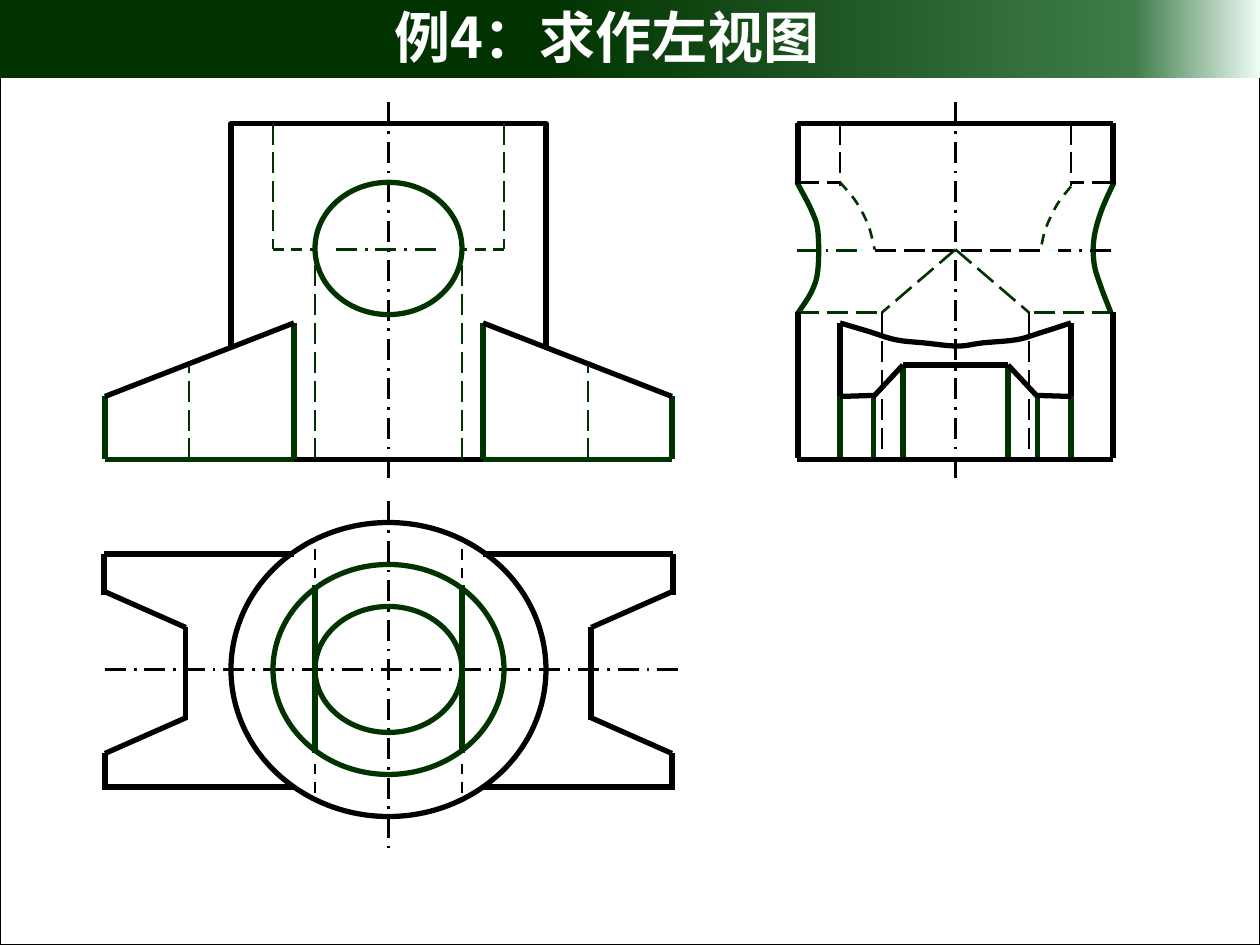
from copy import deepcopy
from pptx import Presentation
from pptx.dml.color import RGBColor
from pptx.enum.dml import MSO_LINE
from pptx.enum.lang import MSO_LANGUAGE_ID as Language
from pptx.enum.shapes import MSO_CONNECTOR, MSO_SHAPE
from pptx.enum.text import MSO_ANCHOR, PP_ALIGN
from pptx.oxml.ns import qn
from pptx.util import Inches, Pt

CELL = 1 / 12
TOP_ROW = 0.98
FRONT_AXIS, LEFT_AXIS = 37, 91
CURVE_STEPS = 8

BLACK = ("000000", 3, None)
GREEN = ("003300", 3, None)
HIDDEN_BLACK = ("000000", 1.5, MSO_LINE.LONG_DASH)
HIDDEN_GREEN = ("003300", 1.5, MSO_LINE.LONG_DASH)
SHORT_BLACK = ("000000", 1.5, MSO_LINE.DASH)
SHORT_GREEN = ("003300", 1.5, MSO_LINE.DASH)
CENTRE_BLACK = ("000000", 1.5, MSO_LINE.LONG_DASH_DOT)
CENTRE_GREEN = ("003300", 1.5, MSO_LINE.LONG_DASH_DOT)
PALE = ("CCFFFF", 0.75, None)
MASK = ("FFFFFF", 4.5, None)
FRAME = ("000000", 0.75, None)


def color(value):
    return RGBColor.from_string(value)


def column(value):
    return Inches(value * CELL)


def row(value):
    return Inches(TOP_ROW + value * CELL)


def style_line(line, style):
    shade, width, dash = style
    line.color.rgb = color(shade)
    line.width = Pt(width)
    if dash:
        line.dash_style = dash


def outline(shape, style):
    shape.shadow.inherit = False
    shape.fill.background()
    style_line(shape.line, style)


def add_lines(page, style, *segments):
    for x1, y1, x2, y2 in segments:
        edge = page.shapes.add_connector(
            MSO_CONNECTOR.STRAIGHT, column(x1), row(y1), column(x2), row(y2))
        style_line(edge.line, style)
        properties = edge.element.spPr
        properties.append(properties.makeelement(qn("a:effectLst"), {}))


def add_mirrored(page, axis, style, *segments):
    for x1, y1, x2, y2 in segments:
        add_lines(page, style, (x1, y1, x2, y2),
                  (2 * axis - x1, y1, 2 * axis - x2, y2))


def add_outline(page, kind, style, left, top, right, bottom):
    shape = page.shapes.add_shape(
        kind, column(left), row(top),
        column(right - left), column(bottom - top))
    outline(shape, style)


def spline(before, start, end, after, t):
    return 0.5 * (2 * start + (end - before) * t
                  + (2 * before - 5 * start + 4 * end - after) * t ** 2
                  + (3 * start - before - 3 * end + after) * t ** 3)


def add_curve(page, style, *knots):
    padded = [knots[0], *knots, knots[-1]]
    points = []
    for group in zip(padded, padded[1:], padded[2:], padded[3:]):
        for step in range(1, CURVE_STEPS + 1):
            x, y = (spline(*axis, step / CURVE_STEPS) for axis in zip(*group))
            points.append((column(x), row(y)))
    builder = page.shapes.build_freeform(column(knots[0][0]), row(knots[0][1]))
    builder.add_line_segments(points, close=False)
    outline(builder.convert_to_shape(), style)


def add_banner(deck, page):
    border = page.shapes.add_shape(
        MSO_SHAPE.RECTANGLE, 0, 0, deck.slide_width, deck.slide_height)
    outline(border, FRAME)
    banner = page.shapes.add_shape(
        MSO_SHAPE.RECTANGLE, 0, Inches(-0.02), deck.slide_width, Inches(0.64))
    banner.shadow.inherit = False
    banner.line.fill.background()
    banner.fill.gradient()
    banner.fill.gradient_angle = 0
    stops = banner.element.spPr.find(qn("a:gradFill")).find(qn("a:gsLst"))
    stops.append(deepcopy(stops[-1]))
    shades = [(0.43, "003300"), (0.9, "3F7C49"), (1, "EEFCF6")]
    for stop, (position, shade) in zip(banner.fill.gradient_stops, shades):
        stop.position = position
        stop.color.rgb = color(shade)


def add_title(page):
    title = page.shapes.title
    page.shapes.element.append(title.element)
    title.left, title.top = Inches(3.03), Inches(-0.03)
    title.width, title.height = Inches(4.27), Inches(0.63)
    frame = title.text_frame
    frame.word_wrap = True
    frame.vertical_anchor = MSO_ANCHOR.MIDDLE
    para = frame.paragraphs[0]
    para.alignment = PP_ALIGN.LEFT
    for text, face in [("例", "Times New Roman"), ("4", "Noto Sans CJK SC"),
                       ("：求作左视图", "Times New Roman")]:
        span = para.add_run()
        span.text = text
        span.font.name = face
        span.font.size = Pt(32)
        span.font.bold = True
        span.font.color.rgb = color("FFFFFF")
        span.font.language_id = Language.SIMPLIFIED_CHINESE
        properties = span.font._element
        properties.append(properties.makeelement(
            qn("a:ea"), {"typeface": "Noto Sans CJK SC"}))


def draw_front_view(page):
    axis = FRONT_AXIS
    add_lines(page, CENTRE_BLACK, (axis, 33.8, axis, -2))
    add_outline(page, MSO_SHAPE.RECTANGLE, BLACK, 22, 0, 52, 32)
    add_mirrored(page, axis, HIDDEN_GREEN, (30, 32, 30, 12), (26, 0, 26, 12))
    add_mirrored(page, axis, SHORT_GREEN, (26, 12, 30, 12))
    add_lines(page, CENTRE_GREEN, (32, 12, 42, 12))
    add_outline(page, MSO_SHAPE.OVAL, GREEN, 30, 5.6, 44, 18.2)
    add_mirrored(page, axis, MASK, (22, 21.5, 22, 32))
    add_mirrored(page, axis, GREEN, (10, 26, 10, 32), (28, 32, 28, 19),
                 (28, 32, 10, 32))
    add_mirrored(page, axis, BLACK, (28, 19, 10, 26))
    add_mirrored(page, axis, HIDDEN_GREEN, (18, 32, 18, 23))


def draw_top_view(page):
    axis = FRONT_AXIS
    add_lines(page, CENTRE_BLACK, (10, 52, 65, 52), (axis, 36, axis, 69))
    for style, left, top, right, bottom in [
            (BLACK, 22, 38, 52, 66), (GREEN, 26, 42, 48, 62),
            (GREEN, 30, 46, 44, 58)]:
        add_outline(page, MSO_SHAPE.OVAL, style, left, top, right, bottom)
    add_mirrored(page, axis, GREEN, (30, 44, 30, 60))
    add_mirrored(page, axis, BLACK, (28, 41, 9.9, 41), (28.1, 63.2, 10, 63.2),
                 (17.7, 48, 17.7, 56.8), (17.7, 48, 10, 44.6),
                 (17.7, 56.6, 10, 60), (10, 60, 10, 63.5), (9.9, 41, 9.9, 44.9))
    add_mirrored(page, axis, SHORT_BLACK, (30, 61, 30, 64.5),
                 (30, 43.3, 30, 39.4))


def draw_left_view(page):
    axis = LEFT_AXIS
    add_mirrored(page, axis, HIDDEN_BLACK, (80, 0, 80, 6),
                 (76, 5.6, 80, 5.6))
    add_lines(page, CENTRE_BLACK, (axis, 33.8, axis, -2))
    add_mirrored(page, axis, GREEN, (80, 26, 80, 32),
                 (83.2, 25.8, 83.2, 31.8), (86, 23, 86, 32))
    add_lines(page, BLACK, (86, 23, 96, 23))
    add_mirrored(page, axis, BLACK, (80, 26, 83.2, 25.9), (86, 23, 83.2, 26),
                 (80, 26, 80, 19))
    add_curve(page, BLACK, (80, 19), (82.7, 19.8), (85.3, 20.6), (88, 20.9),
              (91.2, 21.2), (93.6, 20.9), (96.8, 20.6), (98.9, 20), (102, 19))
    add_mirrored(page, axis, HIDDEN_GREEN, (76, 18, 84, 18),
                 (axis, 12, 84, 18))
    add_curve(page, SHORT_GREEN, (102, 6), (100.7, 7.7), (99.6, 10),
              (99.1, 12.1))
    add_curve(page, SHORT_GREEN, (80, 5.6), (81.5, 7.4), (82.7, 9.7),
              (83.3, 12))
    add_mirrored(page, axis, PALE, (80, 12.1, 82.4, 12.1))
    add_lines(page, CENTRE_GREEN, (75.9, 12.1, 82, 12.1))
    add_curve(page, GREEN, (75.9, 5.6), (77.3, 8.3), (77.9, 10.3),
              (77.9, 13.9), (77.3, 16), (75.9, 18.2))
    add_curve(page, GREEN, (106.1, 5.6), (104.9, 8.3), (104.2, 10.9),
              (104.2, 13.3), (104.8, 15.4), (105.8, 18))
    add_lines(page, HIDDEN_BLACK, (83.3, 12.1, 99.1, 12.1))
    add_mirrored(page, axis, BLACK, (76, 0, 76, 5.8), (76, 18, 76, 31.9))
    add_lines(page, BLACK, (75.9, 0, 106, 0), (106, 32, 75.9, 32))
    add_mirrored(page, axis, HIDDEN_BLACK, (84, 18, 84, 31.8))
    add_lines(page, CENTRE_BLACK, (105.8, 12.1, 100.8, 12.1))


def main():
    deck = Presentation()
    deck.slide_width, deck.slide_height = Inches(10), Inches(7.5)
    page = deck.slides.add_slide(deck.slide_layouts.get_by_name("Title Only"))
    add_banner(deck, page)
    draw_top_view(page)
    draw_front_view(page)
    draw_left_view(page)
    add_title(page)
    deck.save("out.pptx")


if __name__ == "__main__":
    main()
